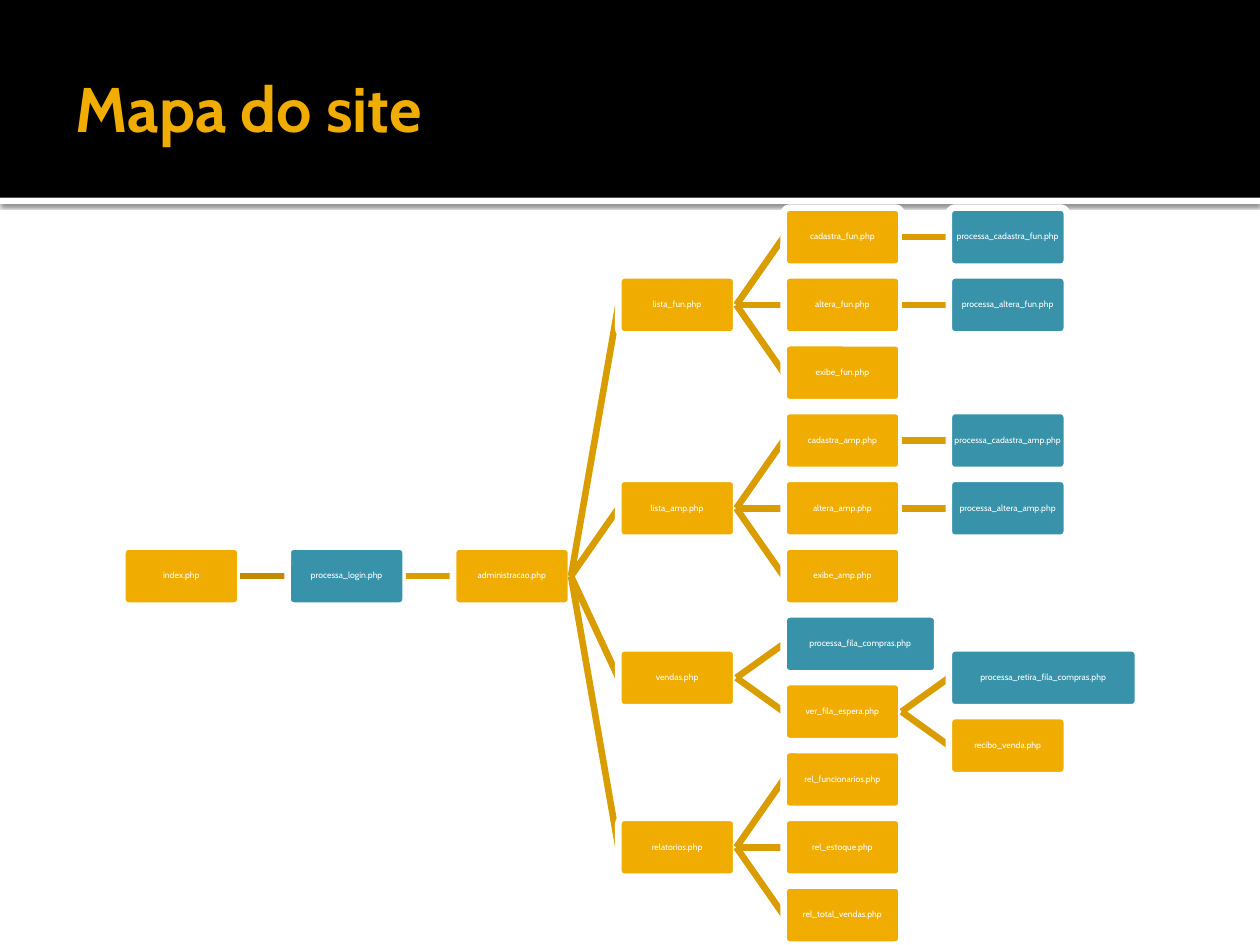
from lxml import etree
from pptx import Presentation
from pptx import util as u
from pptx.dml.color import RGBColor
from pptx.enum import shapes, text
from pptx.oxml import parse_xml
from pptx.oxml.ns import qn

Pt = u.Pt
AMBER, TEAL, BLACK, WHITE = "F0AD00", "3792AA", "000000", "FFFFFF"
LINK, FIRST_LINK = "DA9D00", "C08B00"
LEFT, TOP = 70, 135.5             # left of first column, centre of first row
COL_STEP, ROW_STEP = 94.45, 38.74
BOX_W, BOX_H = 67.4, 33.7

# Page, column, row, parent, width; parents come before their children
PAGES = [
    ("index.php", 0, 5, None, BOX_W),
    ("processa_login.php", 1, 5, "index.php", BOX_W),
    ("administracao.php", 2, 5, "processa_login.php", BOX_W),
    ("lista_fun.php", 3, 1, "administracao.php", BOX_W),
    ("cadastra_fun.php", 4, 0, "lista_fun.php", BOX_W),
    ("processa_cadastra_fun.php", 5, 0, "cadastra_fun.php", BOX_W),
    ("altera_fun.php", 4, 1, "lista_fun.php", BOX_W),
    ("processa_altera_fun.php", 5, 1, "altera_fun.php", BOX_W),
    ("exibe_fun.php", 4, 2, "lista_fun.php", BOX_W),
    ("lista_amp.php", 3, 4, "administracao.php", BOX_W),
    ("cadastra_amp.php", 4, 3, "lista_amp.php", BOX_W),
    ("processa_cadastra_amp.php", 5, 3, "cadastra_amp.php", BOX_W),
    ("altera_amp.php", 4, 4, "lista_amp.php", BOX_W),
    ("processa_altera_amp.php", 5, 4, "altera_amp.php", BOX_W),
    ("exibe_amp.php", 4, 5, "lista_amp.php", BOX_W),
    ("vendas.php", 3, 6.5, "administracao.php", BOX_W),
    ("processa_fila_compras.php", 4, 6, "vendas.php", 87.8),
    ("ver_fila_espera.php", 4, 7, "vendas.php", BOX_W),
    ("processa_retira_fila_compras.php", 5, 6.5, "ver_fila_espera.php", 108),
    ("recibo_venda.php", 5, 7.5, "ver_fila_espera.php", BOX_W),
    ("relatorios.php", 3, 9, "administracao.php", BOX_W),
    ("rel_funcionarios.php", 4, 8, "relatorios.php", BOX_W),
    ("rel_estoque.php", 4, 9, "relatorios.php", BOX_W),
    ("rel_total_vendas.php", 4, 10, "relatorios.php", BOX_W),
]


def rgb(value):
    return RGBColor.from_string(value)


class SiteMap:
    font = "Cabin"
    line_width = 3.78

    def __init__(self, slide):
        self.s = slide

    def set_font(self, p, size, color, bold=False):
        p.font.name, p.font.size, p.font.bold = self.font, Pt(size), bold
        p.font.color.rgb = rgb(color)

    def set_frame(self, tf, *insets):
        tf.margin_left, tf.margin_top, tf.margin_right, tf.margin_bottom = map(Pt, insets)
        tf.vertical_anchor = text.MSO_ANCHOR.MIDDLE
        tf.auto_size = text.MSO_AUTO_SIZE.NONE
        tf.word_wrap = True

    def band(self, y, height, color):
        sp = self.s.shapes.add_shape(shapes.MSO_SHAPE.RECTANGLE, 0, Pt(y), Pt(720), Pt(height))
        sp.shadow.inherit = False
        sp.fill.solid()
        sp.fill.fore_color.rgb = rgb(color)
        sp.line.fill.background()
        return sp

    def drop_shadow(self, sp):
        effects = sp._element.spPr.find(qn("a:effectLst"))
        effects.append(parse_xml(
            '<a:outerShdw xmlns:a="http://schemas.openxmlformats.org/drawingml/2006/main"'
            f' blurRad="{Pt(2.5)}" dist="{Pt(0.8)}" dir="5400000" rotWithShape="0">'
            '<a:srgbClr val="000000"><a:alpha val="60000"/></a:srgbClr></a:outerShdw>'))

    def title(self, words):
        sp = self.s.shapes.title
        sp.left, sp.top, sp.width, sp.height = Pt(36), Pt(12.2), Pt(648), Pt(98.6)
        tf = sp.text_frame
        tf.text = words
        self.set_frame(tf, 7.2, 3.6, 3.6, 3.6)
        tf.paragraphs[0].alignment = text.PP_ALIGN.LEFT
        self.set_font(tf.paragraphs[0], 36, AMBER, True)
        self.s.shapes._spTree.append(sp._element)  # in front of the bands

    def link(self, x1, y1, x2, y2, color):
        line = self.s.shapes.add_connector(
            shapes.MSO_CONNECTOR.STRAIGHT, Pt(x1), Pt(y1), Pt(x2), Pt(y2))
        line.line.color.rgb = rgb(color)
        line.line.width = Pt(self.line_width)
        etree.SubElement(line._element.spPr, qn("a:effectLst"))

    def page(self, name, x, y, width, color):
        sp = self.s.shapes.add_shape(shapes.MSO_SHAPE.ROUNDED_RECTANGLE,
                                     Pt(x), Pt(y - BOX_H / 2), Pt(width), Pt(BOX_H))
        sp.adjustments[0] = 0.1
        sp.shadow.inherit = False
        sp.fill.solid()
        sp.fill.fore_color.rgb = rgb(color)
        sp.line.color.rgb = rgb(WHITE)
        sp.line.width = Pt(self.line_width)
        tf = sp.text_frame
        tf.text = name
        self.set_frame(tf, 0, 0, 0, 0)
        p = tf.paragraphs[0]
        p.alignment = text.PP_ALIGN.CENTER
        p.line_spacing = 0.9
        self.set_font(p, 5, WHITE)


def main():
    prs = Presentation()
    prs.slide_width, prs.slide_height = Pt(720), Pt(540)
    site = SiteMap(prs.slides.add_slide(prs.slide_layouts[5]))

    # Header
    site.drop_shadow(site.band(113, 3.6, WHITE))
    site.band(0, 113, BLACK)
    site.title("Mapa do site")

    # Page tree
    exits = {}
    for name, col, row, parent, width in PAGES:
        x, y = LEFT + col * COL_STEP, TOP + row * ROW_STEP
        if parent:
            site.link(*exits[parent], x, y, FIRST_LINK if col == 1 else LINK)
        site.page(name, x, y, width, TEAL if name.startswith("processa") else AMBER)
        exits[name] = (x + width, y)

    prs.save("out.pptx")


if __name__ == "__main__":
    main()
